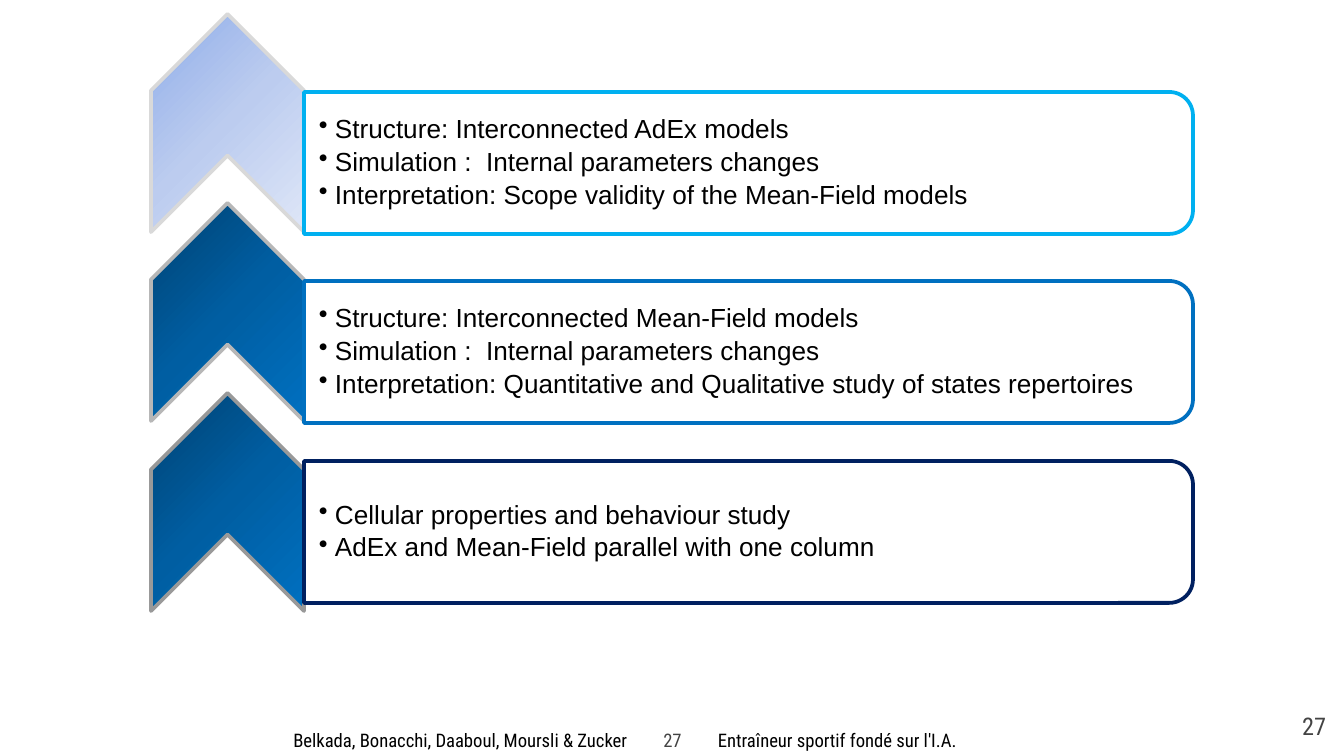
from copy import deepcopy

from lxml import etree
from pptx import Presentation
from pptx import util as u
from pptx.dml.color import RGBColor
from pptx.enum import shapes, text
from pptx.oxml.ns import qn

PX = 914400 / 134.4
COLORS = {
    "black": "000000",
    "grey": "434343",
    "pale": ("8FADE9", "BCCCEF", "DEE6F7"),
    "deep": ("004272", "005EA2", "0070C0"),
}
BODY_FONT = "Arial"
FOOTER_FONT = "Roboto Condensed"
NO_STYLE = "{2D5ABB26-0587-4C30-8999-92F81FD0307C}"
PAGE_NUMBER = "27"

# chevron top, panel top, gradient, chevron line, panel line, bullets
LEVELS = [
    (14, 92, "pale", "D9D9D9", "00B0F0", [
        "Structure: Interconnected AdEx models",
        "Simulation :  Internal parameters changes",
        "Interpretation: Scope validity of the Mean-Field models"]),
    (203, 281, "deep", "B7B7B7", "0070C0", [
        "Structure: Interconnected Mean-Field models",
        "Simulation :  Internal parameters changes",
        "Interpretation: Quantitative and Qualitative study of states repertoires"]),
    (393, 461, "deep", "999999", "002060", [
        "Cellular properties and behaviour study",
        "AdEx and Mean-Field parallel with one column"]),
]
FOOTER = [
    ("Belkada, Bonacchi, Daaboul, Moursli & Zucker", 363, "black", text.PP_ALIGN.RIGHT),
    (PAGE_NUMBER, 65, "grey", text.PP_ALIGN.CENTER),
    ("Entraîneur sportif fondé sur l'I.A.", 363, "black", text.PP_ALIGN.LEFT),
]


def px(length):
    return u.Emu(round(length * PX))


def rgb(value):
    return RGBColor.from_string(value)


def style(para, font, size, color, align=text.PP_ALIGN.LEFT):
    para.alignment = align
    for span in para.runs:
        span.font.name = font
        span.font.size = u.Pt(size)
        span.font.color.rgb = rgb(COLORS[color])


def set_insets(target, left, top, right, bottom):
    target.margin_left, target.margin_top = px(left), px(top)
    target.margin_right, target.margin_bottom = px(right), px(bottom)


def add_turned_shape(page, kind, left, top, width, height, angle, line):
    """Add a quarter-turned shape, given the bounds it has after turning."""
    shift = (width - height) / 2
    shape = page.shapes.add_shape(
        kind, px(left + shift), px(top - shift), px(height), px(width))
    shape.rotation = angle
    shape.shadow.inherit = False
    shape.line.color.rgb = rgb(line)
    shape.line.width = u.Pt(2)
    return shape


def fill_gradient(shape, colors):
    """Fill with three even stops running to the bottom right of the slide."""
    shape.fill.gradient()
    shape.fill.gradient_angle = 315
    gradient = shape.element.spPr.find(qn("a:gradFill"))
    gradient.set("rotWithShape", "0")
    stop_list = gradient.find(qn("a:gsLst"))
    stop_list.append(deepcopy(stop_list[-1]))
    for index, stop in enumerate(shape.fill.gradient_stops):
        stop.position = index / 2
        stop.color.rgb = rgb(colors[index])


def add_bullet(para):
    properties = para._p.get_or_add_pPr()
    properties.set("marL", str(px(16)))
    properties.set("indent", str(px(-16)))
    etree.SubElement(properties, qn("a:buChar")).set("char", "•")


def add_bullet_list(page, left, top, width, height, lines):
    box = page.shapes.add_textbox(px(left), px(top), px(width), px(height))
    frame = box.text_frame
    frame.word_wrap = True
    frame.vertical_anchor = text.MSO_ANCHOR.MIDDLE
    set_insets(frame, 15, 1, 1, 1)
    frame.text = "\n".join(lines)
    for para in frame.paragraphs:
        add_bullet(para)
        para.line_spacing = 0.9
        para.space_after = u.Pt(2.5)
        style(para, BODY_FONT, 14, "black")


def add_level(page, chevron_top, panel_top, gradient, chevron_line, panel_line, lines):
    chevron = add_turned_shape(
        page, shapes.MSO_SHAPE.CHEVRON, 151, chevron_top, 153, 218, 270, chevron_line)
    fill_gradient(chevron, COLORS[gradient])
    panel = add_turned_shape(
        page, shapes.MSO_SHAPE.ROUND_2_SAME_RECTANGLE, 304, panel_top, 889, 142, 90,
        panel_line)
    panel.fill.background()
    add_bullet_list(page, 304, panel_top + 7, 882, 128, lines)


def add_footer(page):
    width = sum(column[1] for column in FOOTER)
    frame = page.shapes.add_table(1, len(FOOTER), px(277), px(726), px(width), px(31))
    table = frame.table
    table.first_row = table.horz_banding = False
    table._tbl.tblPr.find(qn("a:tableStyleId")).text = NO_STYLE
    table.rows[0].height = px(31)
    for index, (label, column_width, color, align) in enumerate(FOOTER):
        table.columns[index].width = px(column_width)
        cell = table.cell(0, index)
        cell.fill.background()
        cell.vertical_anchor = text.MSO_ANCHOR.MIDDLE
        set_insets(cell, 13, 0, 13, 0)
        cell.text_frame.text = label
        style(cell.text_frame.paragraphs[0], FOOTER_FONT, 10, color, align)


def add_page_number(page):
    box = page.shapes.add_textbox(px(1258), px(698), px(81), px(58))
    frame = box.text_frame
    frame.word_wrap = True
    set_insets(frame, 13, 13, 13, 13)
    frame.text = PAGE_NUMBER
    style(frame.paragraphs[0], FOOTER_FONT, 13, "grey", text.PP_ALIGN.RIGHT)


def main():
    deck = Presentation()
    deck.slide_width, deck.slide_height = px(1344), px(756)
    page = deck.slides.add_slide(deck.slide_layouts[6])
    add_footer(page)
    add_page_number(page)
    for level in LEVELS:
        add_level(page, *level)
    deck.save("out.pptx")


if __name__ == "__main__":
    main()
